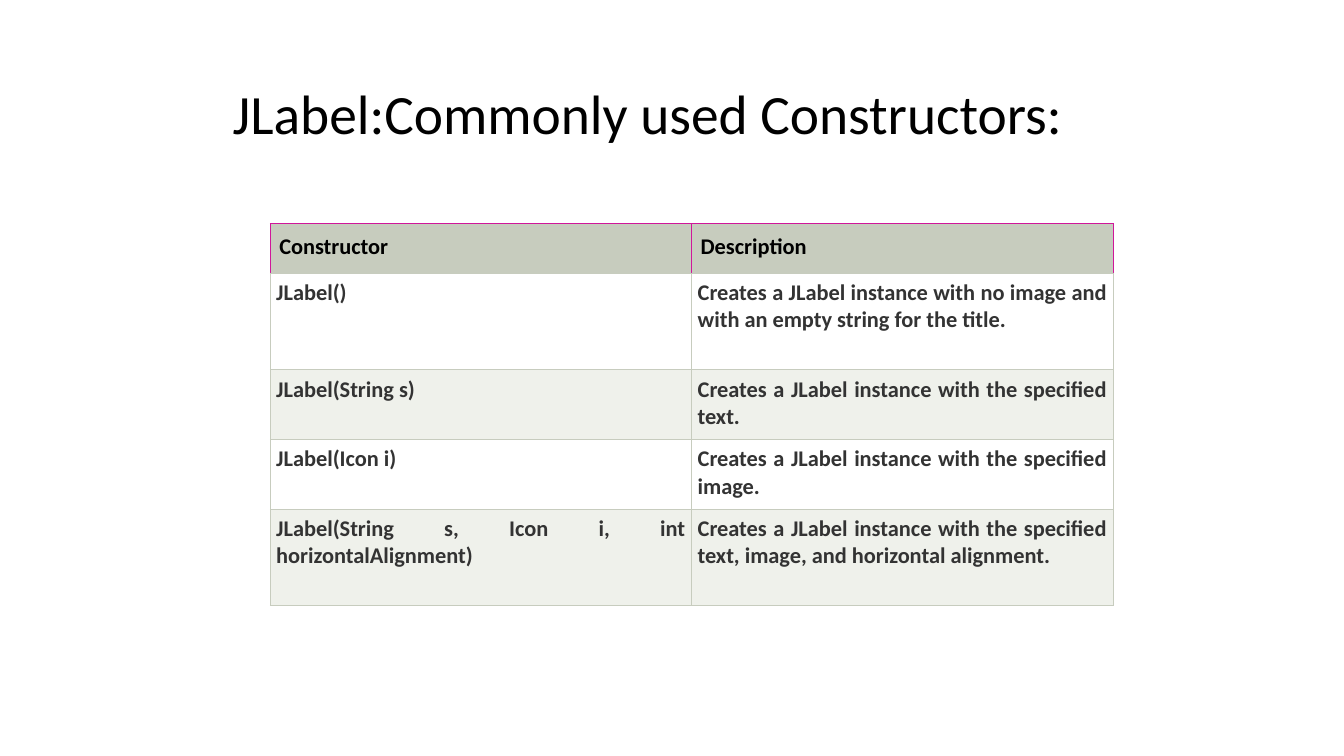
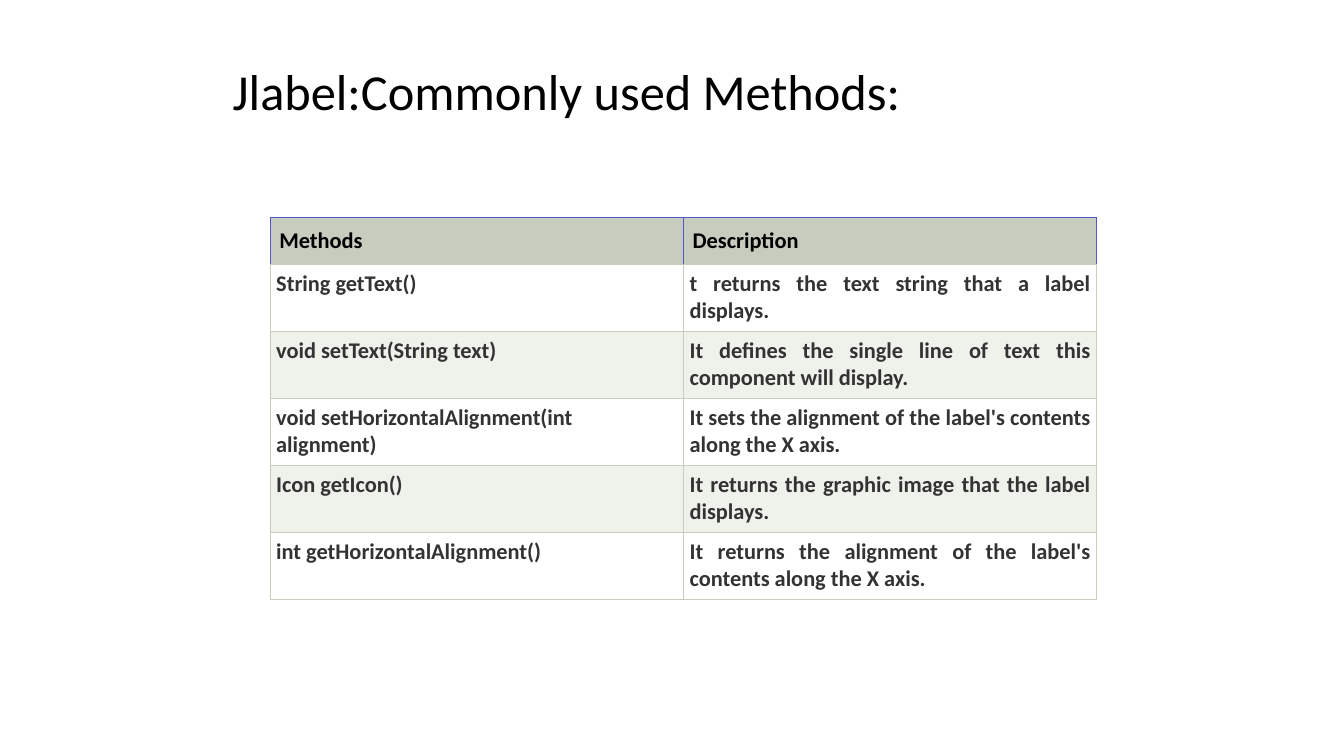
from dataclasses import dataclass

from lxml.etree import SubElement
from pptx import Presentation
from pptx.dml.color import RGBColor
from pptx.enum.text import MSO_ANCHOR as Anchor, PP_ALIGN as Align
from pptx.oxml.ns import qn
from pptx.util import Inches, Pt

FONT = "Calibri"
BLACK = RGBColor(0x00, 0x00, 0x00)
TEXT = RGBColor(0x33, 0x33, 0x33)
SAGE = RGBColor(0xC7, 0xCC, 0xBE)
PALE = RGBColor(0xEF, 0xF1, 0xEB)
WHITE = RGBColor(0xFF, 0xFF, 0xFF)
MAGENTA = RGBColor(0xD0, 0x16, 0x9A)
BLUE = RGBColor(0x50, 0x57, 0xCD)
SIDES = ("lnL", "lnR", "lnT", "lnB")
TITLE_LEFT, TITLE_WIDTH, TITLE_HEIGHT = 2.21, 9, 1.25
TABLE_LEFT = 2.68


@dataclass(frozen=True)
class TableSlide:
    title: str
    title_top: float
    title_size: float
    title_inset: float
    table_top: float
    col_width: float
    heights: tuple[float, ...]
    accent: RGBColor
    rows: tuple[tuple[str, str], ...]
    ragged: tuple[str, ...] = ()


SLIDES = (
    TableSlide(
        "JLabel:Commonly used Constructors:", 0.23, 39.6, 0.65,
        2.22, 4.18, (0.49, 0.96, 0.69, 0.69, 0.96), MAGENTA,
        (
            ("Constructor", "Description"),
            ("JLabel()", "Creates a JLabel instance with no image and with an empty string for the title."),
            ("JLabel(String s)", "Creates a JLabel instance with the specified text."),
            ("JLabel(Icon i)", "Creates a JLabel instance with the specified image."),
            ("JLabel(String s, Icon i, int horizontalAlignment)",
             "Creates a JLabel instance with the specified text, image, and horizontal alignment."),
        ),
    ),
    TableSlide(
        "Jlabel:Commonly used Methods:", 0.31, 36, 0.05,
        2.16, 4.1, (0.46,) + (0.665,) * 5, BLUE,
        (
            ("Methods", "Description"),
            ("String getText()", "t returns the text string that a label displays."),
            ("void setText(String text)", "It defines the single line of text this component will display."),
            ("void setHorizontalAlignment(int alignment)",
             "It sets the alignment of the label's contents along the X axis."),
            ("Icon getIcon()", "It returns the graphic image that the label displays."),
            ("int getHorizontalAlignment()", "It returns the alignment of the label's contents along the X axis."),
        ),
        ("void setHorizontalAlignment(int alignment)",),
    ),
)


def set_font(p, size: float, color: RGBColor, bold: bool = False) -> None:
    p.font.name = FONT
    p.font.size = Pt(size)
    p.font.bold = bold
    p.font.color.rgb = color


def add_title(slide, data: TableSlide) -> None:
    sp = slide.shapes.add_textbox(Inches(TITLE_LEFT), Inches(data.title_top),
                                  Inches(TITLE_WIDTH), Inches(TITLE_HEIGHT))
    tf = sp.text_frame
    tf.word_wrap = True
    tf.vertical_anchor = Anchor.MIDDLE
    tf.margin_top = Inches(data.title_inset)
    p = tf.paragraphs[0]
    p.text = data.title
    p.line_spacing = 0.9
    set_font(p, data.title_size, BLACK)


def set_borders(cell, colors: dict[str, RGBColor]) -> None:
    props = cell._tc.get_or_add_tcPr()
    for index, side in enumerate(SIDES):
        line = SubElement(props, qn(f"a:{side}"), w=str(Pt(0.75)))
        fill = SubElement(line, qn("a:solidFill"))
        SubElement(fill, qn("a:srgbClr"), val=str(colors[side]))
        props.insert(index, line)


def style_cell(cell, text: str, row: int, data: TableSlide) -> None:
    header = row == 0
    inset = Inches(0.09 if header else 0.06)
    cell.margin_left = cell.margin_right = inset
    cell.margin_top = cell.margin_bottom = inset
    cell.fill.solid()
    cell.fill.fore_color.rgb = SAGE if header else WHITE if row % 2 else PALE
    p = cell.text_frame.paragraphs[0]
    p.text = text
    p.alignment = Align.LEFT if header or text in data.ragged else Align.JUSTIFY
    set_font(p, 16, BLACK if header else TEXT, bold=True)
    colors = dict.fromkeys(SIDES, data.accent if header else SAGE)
    colors["lnB"] = SAGE
    set_borders(cell, colors)


def add_grid(slide, data: TableSlide) -> None:
    columns = len(data.rows[0])
    frame = slide.shapes.add_table(len(data.rows), columns, Inches(TABLE_LEFT), Inches(data.table_top),
                                   Inches(columns * data.col_width), Inches(sum(data.heights)))
    table = frame.table
    table.horz_banding = False
    for column in table.columns:
        column.width = Inches(data.col_width)
    for row, (texts, height) in enumerate(zip(data.rows, data.heights)):
        table.rows[row].height = Inches(height)
        for col, text in enumerate(texts):
            style_cell(table.cell(row, col), text, row, data)


def main() -> None:
    prs = Presentation()
    prs.slide_width, prs.slide_height = Inches(13.33), Inches(7.5)
    for data in SLIDES:
        slide = prs.slides.add_slide(prs.slide_layouts[6])
        add_title(slide, data)
        add_grid(slide, data)
    prs.save("out.pptx")


if __name__ == "__main__":
    main()
